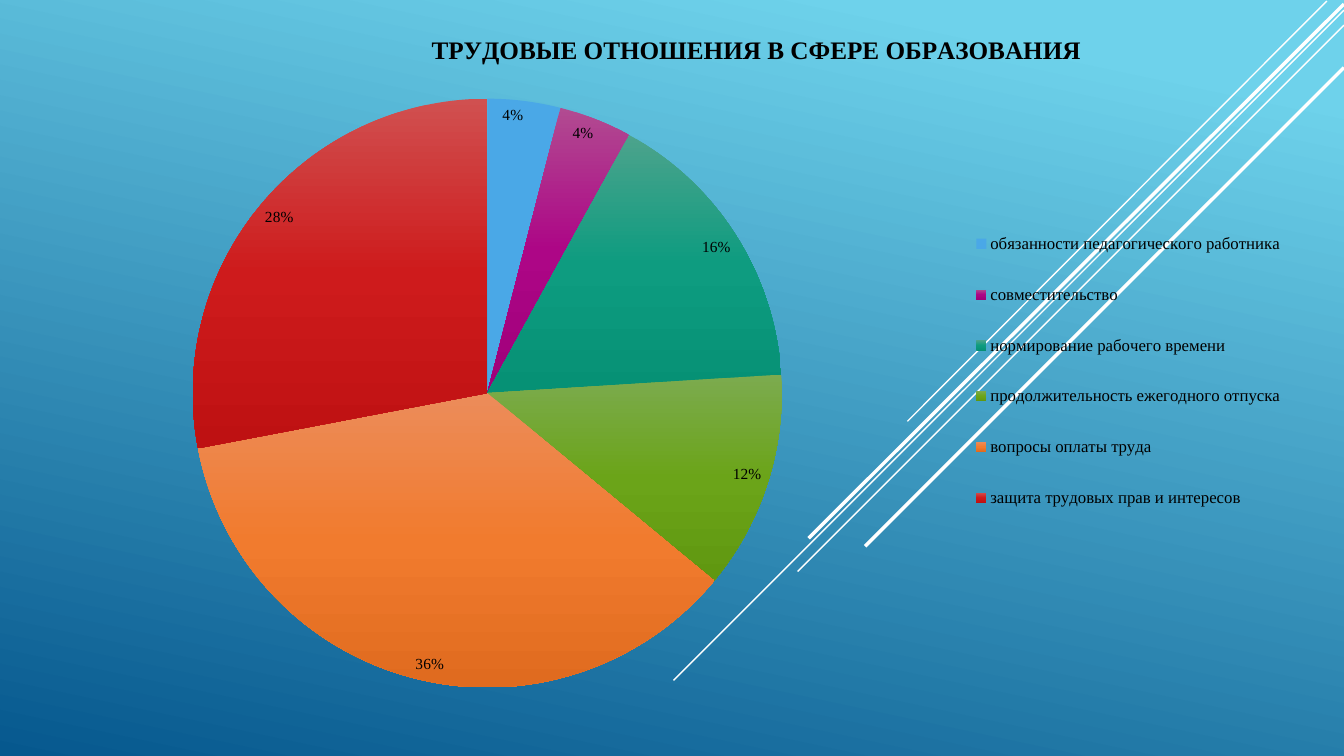
from copy import deepcopy

from pptx import Presentation
from pptx.chart.data import CategoryChartData
from pptx.dml.color import RGBColor
from pptx.enum.chart import XL_CHART_TYPE, XL_LABEL_POSITION, XL_LEGEND_POSITION
from pptx.enum.shapes import MSO_CONNECTOR
from pptx.oxml.ns import qn
from pptx.util import Inches, Pt
from lxml.etree import SubElement

TITLE = "ТРУДОВЫЕ ОТНОШЕНИЯ В СФЕРЕ ОБРАЗОВАНИЯ"
FONT = "Times New Roman"
# Topic, percentage, slice colours from top to bottom
TOPICS = [
    ("обязанности педагогического работника", 4, ["4AA8E7"]),
    ("совместительство", 4, ["B14B91", "AD0686", "9F007A"]),
    ("нормирование рабочего времени", 16, ["4CA38C", "0E9C80", "069175"]),
    ("продолжительность ежегодного отпуска", 12, ["7CAB4F", "6BA419", "609810"]),
    ("вопросы оплаты труда", 36, ["EC8C5A", "F17B2E", "E06B1F"]),
    ("защита трудовых прав и интересов", 28, ["D05050", "CE1B1C", "BE1112"]),
]
# Start x, start y, end x, end y, width in points
DIAGONALS = [
    (13.16, 0.01, 9, 4.18, 1),
    (13.33, 0.1, 6.68, 6.75, 1),
    (13.33, 0.25, 7.91, 5.67, 1),
    (13.33, 0.04, 8.02, 5.34, 2.5),
    (13.33, 0.67, 8.58, 5.42, 2.5),
]


def color(hex_value):
    return RGBColor.from_string(hex_value)


def fill_gradient(fill, stops, angle):
    """Apply (position, colour) stops; the angle runs counter-clockwise."""
    fill.gradient()
    fill.gradient_angle = angle
    stop_list = fill.gradient_stops[0]._gs.getparent()
    for _ in stops[2:]:
        stop_list.append(deepcopy(stop_list[-1]))
    for stop, (position, hex_value) in zip(fill.gradient_stops, stops):
        stop.position = position
        stop.color.rgb = color(hex_value)


def add_diagonal(slide, x1, y1, x2, y2, width):
    line = slide.shapes.add_connector(
        MSO_CONNECTOR.STRAIGHT, Inches(x1), Inches(y1), Inches(x2), Inches(y2)
    )
    line.line.color.rgb = color("FFFFFF")
    line.line.width = Pt(width)
    SubElement(line._element.spPr, qn("a:effectLst"))


def style_font(font, size, bold=False):
    font.name = FONT
    font.size = Pt(size)
    font.bold = bold
    font.color.rgb = color("000000")


def set_layout(element, index, inner=False, **fractions):
    """Place a chart part by fractions of the chart's width and height."""
    for old_layout in element.findall(qn("c:layout")):
        element.remove(old_layout)
    layout = element.makeelement(qn("c:layout"), {})
    element.insert(index, layout)
    manual = SubElement(layout, qn("c:manualLayout"))
    if inner:
        SubElement(manual, qn("c:layoutTarget")).set("val", "inner")
    for mode in ("xMode", "yMode"):
        SubElement(manual, qn(f"c:{mode}")).set("val", "edge")
    for name, fraction in fractions.items():
        SubElement(manual, qn(f"c:{name}")).set("val", str(fraction))


def add_title(chart):
    chart.has_title = True
    title = chart.chart_title
    title.include_in_layout = False
    title.text_frame.text = TITLE
    style_font(title.text_frame.paragraphs[0].runs[0].font, 18, bold=True)
    set_layout(title._element, 1, x=0.23, y=0.02)


def add_legend(chart):
    chart.has_legend = True
    legend = chart.legend
    legend.position = XL_LEGEND_POSITION.RIGHT
    legend.include_in_layout = False
    style_font(legend.font, 12)
    set_layout(legend._element, 1, x=0.69, y=0.26, w=0.29, h=0.47)


def add_labels(plot):
    plot.has_data_labels = True
    labels = plot.data_labels
    labels.show_value = False
    labels.show_percentage = True
    labels.number_format = "0%"
    labels.number_format_is_linked = False
    labels.position = XL_LABEL_POSITION.INSIDE_END
    style_font(labels.font, 11)


def color_slices(series):
    for index, (_, _, colors) in enumerate(TOPICS):
        slice_format = series.points[index].format
        slice_format.line.fill.background()
        if len(colors) == 1:
            slice_format.fill.solid()
            slice_format.fill.fore_color.rgb = color(colors[0])
        else:
            fill_gradient(slice_format.fill, list(zip((0, 0.5, 1), colors)), 270)


def add_topics_pie(slide):
    data = CategoryChartData()
    data.categories = [topic for topic, _, _ in TOPICS]
    data.add_series("Series 1", [value for _, value, _ in TOPICS])
    chart = slide.shapes.add_chart(
        XL_CHART_TYPE.PIE, Inches(1.59), Inches(0.15), Inches(11.5), Inches(7.13), data
    ).chart
    style_font(chart.font, 10)
    add_title(chart)
    add_legend(chart)
    plot = chart.plots[0]
    plot.vary_by_categories = True
    add_labels(plot)
    color_slices(plot.series[0])
    plot_area = chart._chartSpace.chart.plotArea
    set_layout(plot_area, 0, inner=True, x=0.028, y=0.116, w=0.508, h=0.82)


def main():
    presentation = Presentation()
    presentation.slide_width = Inches(13.33)
    presentation.slide_height = Inches(7.5)
    slide = presentation.slides.add_slide(presentation.slide_layouts[6])
    fill_gradient(slide.background.fill, [(0.1, "6ED2EB"), (1, "06588E")], 258)
    for diagonal in DIAGONALS:
        add_diagonal(slide, *diagonal)
    add_topics_pie(slide)
    presentation.save("out.pptx")


if __name__ == "__main__":
    main()
